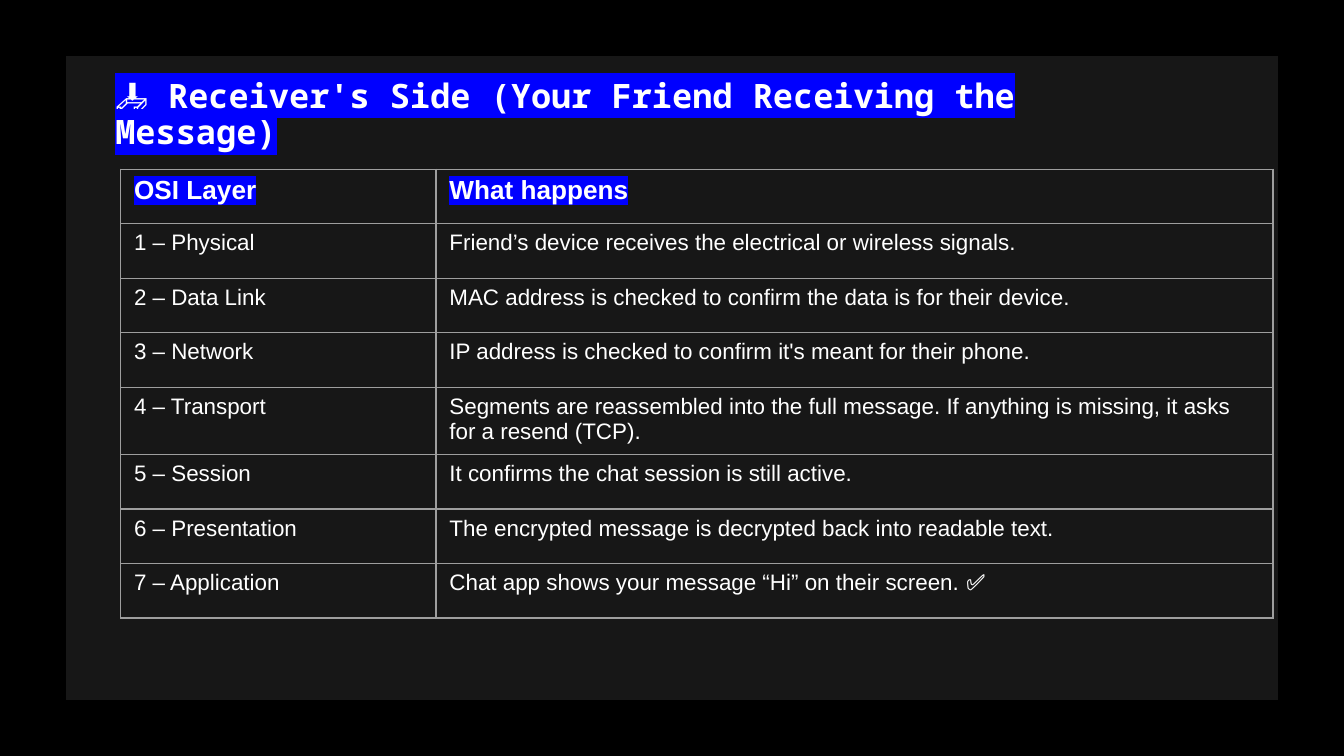
from pptx import Presentation
from pptx.dml.color import RGBColor
from pptx.enum import shapes
from pptx.oxml import parse_xml
from pptx.oxml.ns import nsdecls
from pptx.util import Cm, Pt

TITLE = "📥 Receiver's Side (Your Friend Receiving the Message)"
HEADER = ("OSI Layer", "What happens")
LAYERS = [
    ("Physical", "Friend’s device receives the electrical or wireless signals."),
    ("Data Link", "MAC address is checked to confirm the data is for their device."),
    ("Network", "IP address is checked to confirm it's meant for their phone."),
    ("Transport", "Segments are reassembled into the full message. "
                  "If anything is missing, it asks for a resend (TCP)."),
    ("Session", "It confirms the chat session is still active."),
    ("Presentation", "The encrypted message is decrypted back into readable text."),
    ("Application", "Chat app shows your message “Hi” on their screen. ✅"),
]
THEME = {
    "back": "000000", "panel": "171717", "text": "FFFFFF",
    "mark": "0000FF", "border": "9E9E9E", "border_pt": 0.75,
    "title_font": "Noto Sans Mono", "body_font": "Arial",
    "title_pt": 18, "header_pt": 14, "body_pt": 12,
}
WIDTHS = (Cm(5.96), Cm(15.82))
ROW_HEIGHT = Cm(1.03)


def add_run(p, content, font, size, marked=False):
    r = p.add_run()
    r.text = content
    r.font.size = Pt(size)
    r.font.bold = marked
    r.font.color.rgb = RGBColor.from_string(THEME["text"])
    if marked:
        fill = r.font._element.find("{*}solidFill")
        fill.addnext(parse_xml(f'<a:highlight {nsdecls("a")}>'
                               f'<a:srgbClr val="{THEME["mark"]}"/></a:highlight>'))
    r.font.name = font


def add_borders(cell):
    props = cell._tc.get_or_add_tcPr()
    for i, side in enumerate(("lnL", "lnR", "lnT", "lnB")):
        props.insert(i, parse_xml(
            f'<a:{side} {nsdecls("a")} w="{Pt(THEME["border_pt"])}"><a:solidFill>'
            f'<a:srgbClr val="{THEME["border"]}"/></a:solidFill></a:{side}>'))


def add_panel(s):
    sp = s.shapes.add_shape(shapes.MSO_SHAPE.RECTANGLE,
                            Cm(1.25), Cm(1.06), Cm(22.9), Cm(12.17))
    sp.shadow.inherit = False
    sp.fill.solid()
    sp.fill.fore_color.rgb = RGBColor.from_string(THEME["panel"])
    sp.line.fill.background()


def add_title(s):
    tf = s.shapes.add_textbox(Cm(1.55), Cm(1.25), Cm(19.66), Cm(8.69)).text_frame
    tf.word_wrap = True
    tf.margin_left = tf.margin_right = tf.margin_top = tf.margin_bottom = Cm(0.25)
    p = tf.paragraphs[0]
    p.line_spacing = 0.9
    p._p.get_or_add_pPr().set("marL", str(Cm(0.38)))
    add_run(p, TITLE, THEME["title_font"], THEME["title_pt"], marked=True)


def add_layer_table(s):
    rows = [HEADER] + [(f"{n} – {name}", what)
                       for n, (name, what) in enumerate(LAYERS, 1)]
    table = s.shapes.add_table(len(rows), len(WIDTHS), Cm(2.28), Cm(3.2),
                               sum(WIDTHS), ROW_HEIGHT * len(rows)).table
    table.first_row = table.horz_banding = False
    for column, width in zip(table.columns, WIDTHS):
        column.width = width
    for i, row in enumerate(rows):
        table.rows[i].height = ROW_HEIGHT
        size = THEME["body_pt"] if i else THEME["header_pt"]
        for j, content in enumerate(row):
            cell = table.cell(i, j)
            cell.fill.background()
            add_borders(cell)
            add_run(cell.text_frame.paragraphs[0], content,
                    THEME["body_font"], size, marked=i == 0)


def main():
    """Build the slide on the receiver's side of the OSI model."""
    prs = Presentation()
    prs.slide_width, prs.slide_height = Cm(25.4), Cm(14.29)
    s = prs.slides.add_slide(prs.slide_layouts[6])
    s.background.fill.solid()
    s.background.fill.fore_color.rgb = RGBColor.from_string(THEME["back"])
    add_panel(s)
    add_title(s)
    add_layer_table(s)
    prs.save("out.pptx")


if __name__ == "__main__":
    main()
